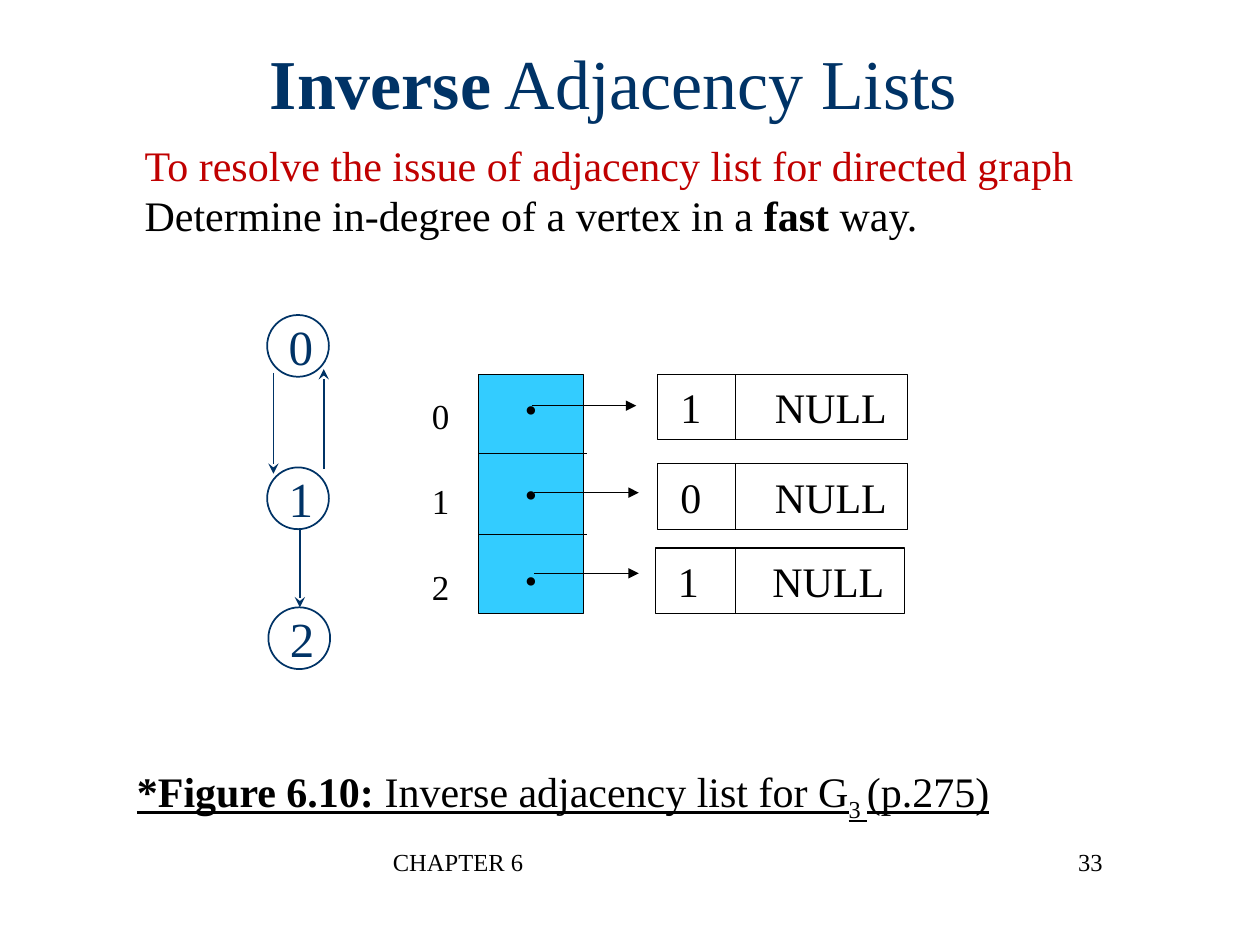
from lxml import etree
from pptx import Presentation, util as u
from pptx.dml.color import RGBColor
from pptx.enum import shapes, text
from pptx.oxml.ns import qn

BLACK, WHITE, NAVY, RED, CYAN = "000000", "FFFFFF", "003366", "C00000", "33CCFF"
LEFT, CENTER, RIGHT = text.PP_ALIGN.LEFT, text.PP_ALIGN.CENTER, text.PP_ALIGN.RIGHT
RECTANGLE, OVAL = shapes.MSO_SHAPE.RECTANGLE, shapes.MSO_SHAPE.OVAL


def color(value):
    return RGBColor.from_string(value)


class Sketch:
    """Style and current slide; lengths are cells of a 100 by 75 grid."""

    font = "Times New Roman"

    def __init__(self, deck):
        self.column = deck.slide_width / 100
        self.row = deck.slide_height / 75
        self.page = deck.slides.add_slide(deck.slide_layouts[6])

    def place(self, x, y, width, height):
        return [u.Emu(round(cells * unit)) for cells, unit in
                ((x, self.column), (y, self.row), (width, self.column), (height, self.row))]

    def add_lines(self, box, lines, size, ink=BLACK, align=LEFT, middle=True, gap=0, tab=None):
        """Fill a box; a line is plain words or a list of (words, marks) spans."""
        frame = box.text_frame
        frame.word_wrap = True
        frame.vertical_anchor = text.MSO_ANCHOR.MIDDLE if middle else text.MSO_ANCHOR.TOP
        for index, line in enumerate(lines):
            para = frame.paragraphs[0] if index == 0 else frame.add_paragraph()
            para.alignment = align
            para.space_before = u.Pt(gap if index else 0)
            if tab:
                stops = etree.SubElement(para._p.get_or_add_pPr(), qn("a:tabLst"))
                etree.SubElement(stops, qn("a:tab"), pos=str(round(tab * self.column)), algn="l")
            para.font.name, para.font.size = self.font, u.Pt(size)
            para.font.color.rgb = color(ink)
            for words, marks in [(line, {})] if isinstance(line, str) else line:
                self.add_span(para, words, **marks)

    def add_span(self, para, words, bold=None, underline=None, ink=None, baseline=None):
        span = para.add_run()
        span.text = words
        span.font.bold, span.font.underline = bold, underline
        if ink:
            span.font.color.rgb = color(ink)
        if baseline:
            span._r.get_or_add_rPr().set("baseline", str(baseline))

    def label(self, area, lines, size, **style):
        box = self.page.shapes.add_textbox(*self.place(*area))
        self.add_lines(box, lines, size, **style)

    def block(self, kind, area, lines, size, fill=WHITE, line=BLACK, weight=0.75, inset=1, **style):
        box = self.page.shapes.add_shape(kind, *self.place(*area))
        box.shadow.inherit = False
        box.fill.solid()
        box.fill.fore_color.rgb = color(fill)
        box.line.color.rgb, box.line.width = color(line), u.Pt(weight)
        box.text_frame.margin_left = u.Emu(round(inset * self.column))
        self.add_lines(box, lines, size, **style)

    def stroke(self, x1, y1, x2, y2, ink=BLACK, weight=0.75, head=None):
        ends = self.place(x1, y1, x2, y2)
        stroke = self.page.shapes.add_connector(shapes.MSO_CONNECTOR.STRAIGHT, *ends)
        stroke.line.color.rgb, stroke.line.width = color(ink), u.Pt(weight)
        shape_style = stroke._element.spPr
        etree.SubElement(shape_style, qn("a:effectLst"))
        if head:
            etree.SubElement(shape_style.find(qn("a:ln")), qn("a:tailEnd"), type=head)


def draw_graph(sketch):
    for vertex, (x, y) in enumerate([(21.2, 25), (21.2, 37.1), (21.3, 48.2)]):
        sketch.block(OVAL, (x, y, 4.9, 4.9), [str(vertex)], 28,
                     line=NAVY, weight=1, ink=NAVY, align=CENTER)
    for x, start, end in [(23.8, 42.1, 48.2), (25.7, 37.2, 29.3), (21.7, 29.6, 37.6)]:
        sketch.stroke(x, start, x, end, ink=NAVY, weight=1, head="stealth")


def draw_lists(sketch):
    sketch.block(RECTANGLE, (38, 29.7, 8.3, 19), ["•"] * 3, 20,
                 fill=CYAN, align=CENTER, gap=25)
    sketch.label((33.3, 30.9, 3.4, 17.7), ["0", "1", "2"], 20, gap=25)
    for y in (36, 42.4):
        sketch.stroke(38, y, 46.6, y)
    for x, y in [(42.2, 32.2), (42.4, 39.1), (42.4, 45.5)]:
        sketch.stroke(x, y, x + 8.3, y, head="triangle")
    for vertex, x, y in [(1, 52.2, 29.7), (0, 52.2, 36.8), (1, 52, 43.5)]:
        sketch.block(RECTANGLE, (x, y, 19.8, 5.2), [f"{vertex}\tNULL"], 24, inset=1.8, tab=7.5)
        sketch.stroke(58.4, y, 58.4, y + 5.2)


def main():
    deck = Presentation()
    deck.slide_width, deck.slide_height = u.Inches(10), u.Inches(7.5)
    sketch = Sketch(deck)
    bold, underline = {"bold": True}, {"underline": True}

    sketch.label((6.2, 2, 85, 8.9), [[("Inverse", bold), (" Adjacency Lists", {})]], 40,
                 ink=NAVY, align=CENTER)
    sketch.label((10.5, 10.5, 76.4, 9.1), [
        [("To resolve the issue of adjacency list for directed graph", {"ink": RED})],
        [("Determine in-degree of a vertex in a ", {}), ("fast", bold), (" way.", {})],
    ], 24)
    draw_graph(sketch)
    draw_lists(sketch)
    sketch.label((2.2, 58.5, 85, 9.1), [[
        ("*Figure 6.10: ", bold | underline),
        ("Inverse adjacency list for G", underline),
        ("3 ", underline | {"baseline": -25000}),
        ("(p.275)", underline),
    ]], 24, align=CENTER)
    sketch.label((30.2, 66.7, 31.7, 5), ["CHAPTER 6"], 14, middle=False)
    sketch.label((67.7, 66.7, 20.8, 5), ["33"], 14, align=RIGHT, middle=False)
    deck.save("out.pptx")


if __name__ == "__main__":
    main()
